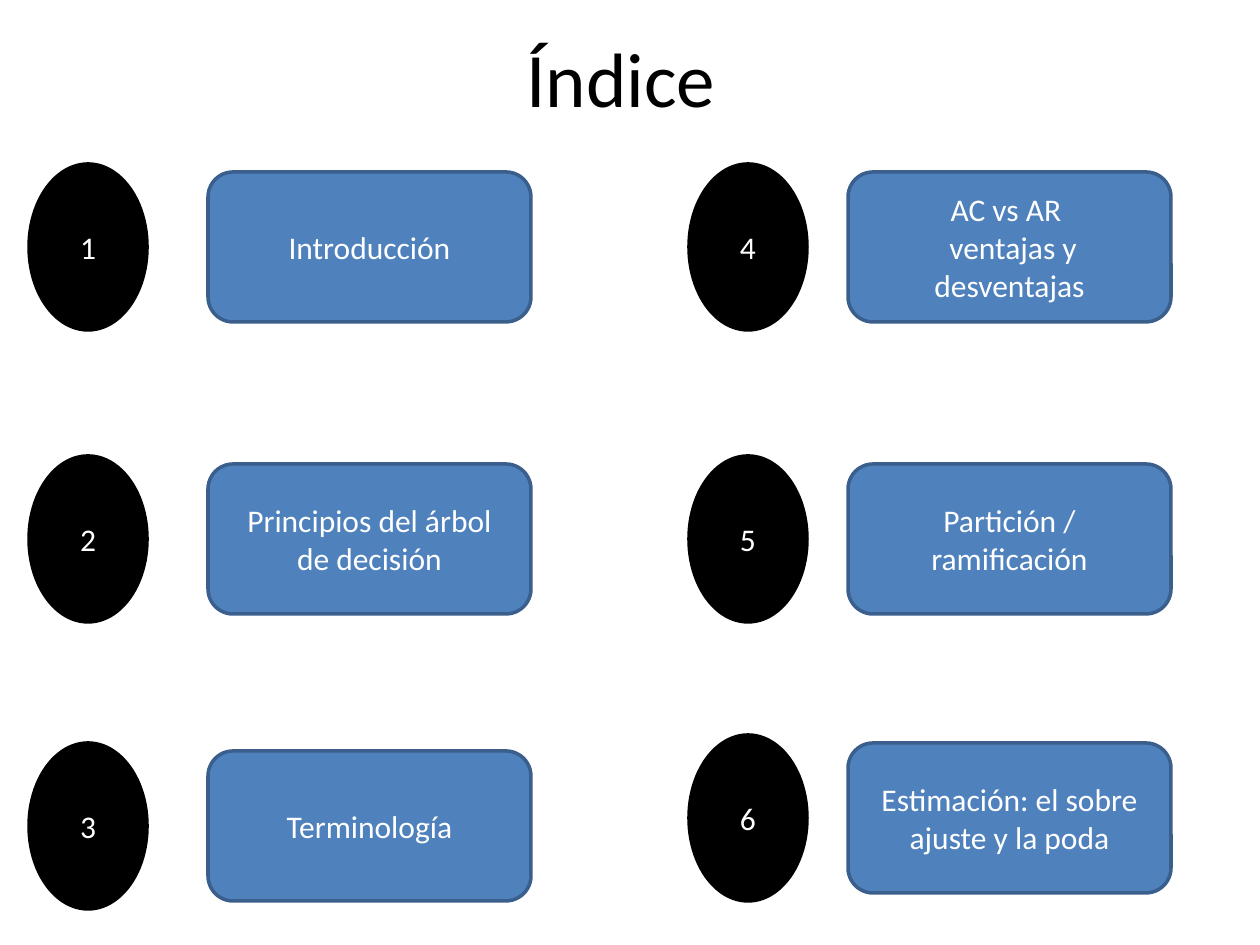
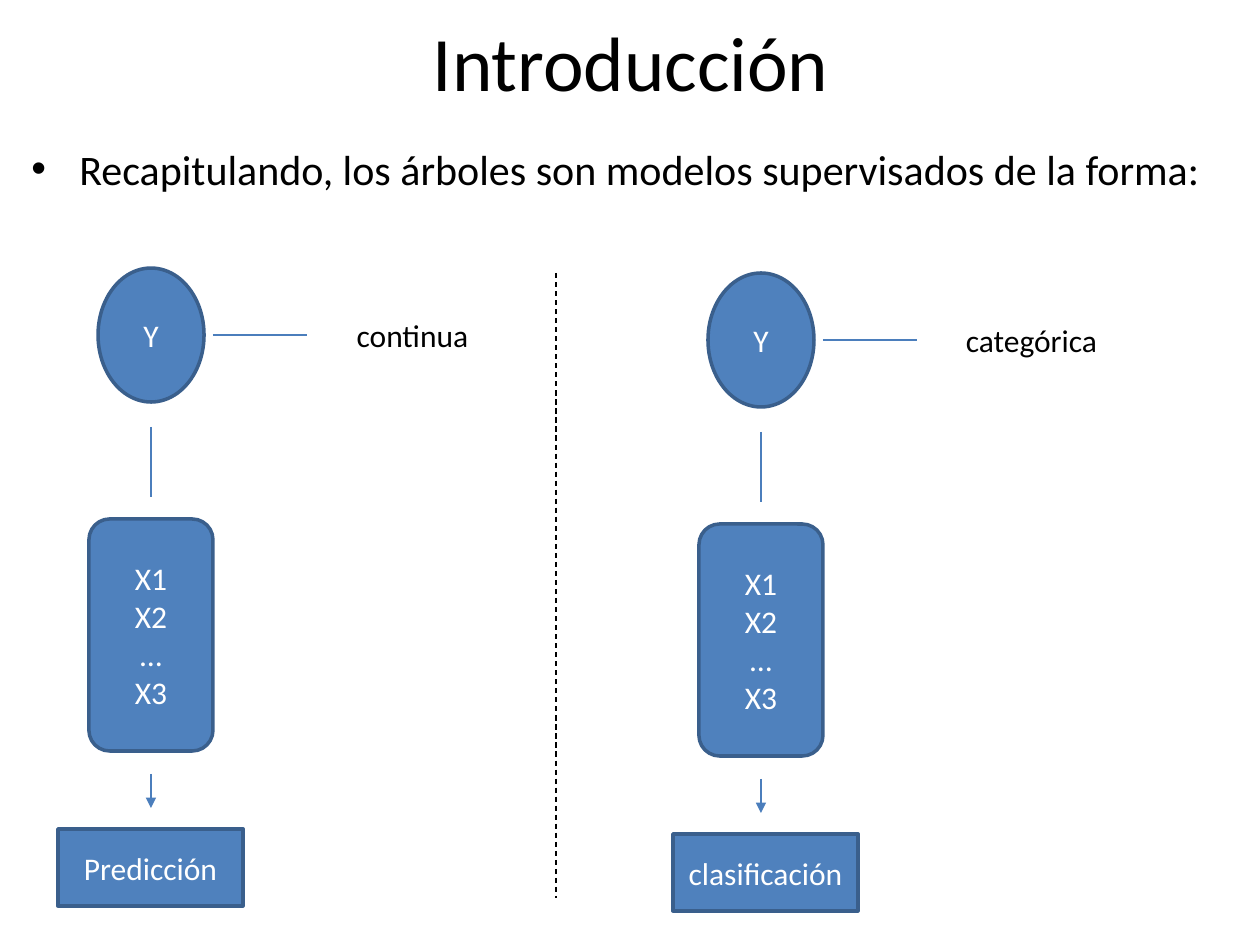
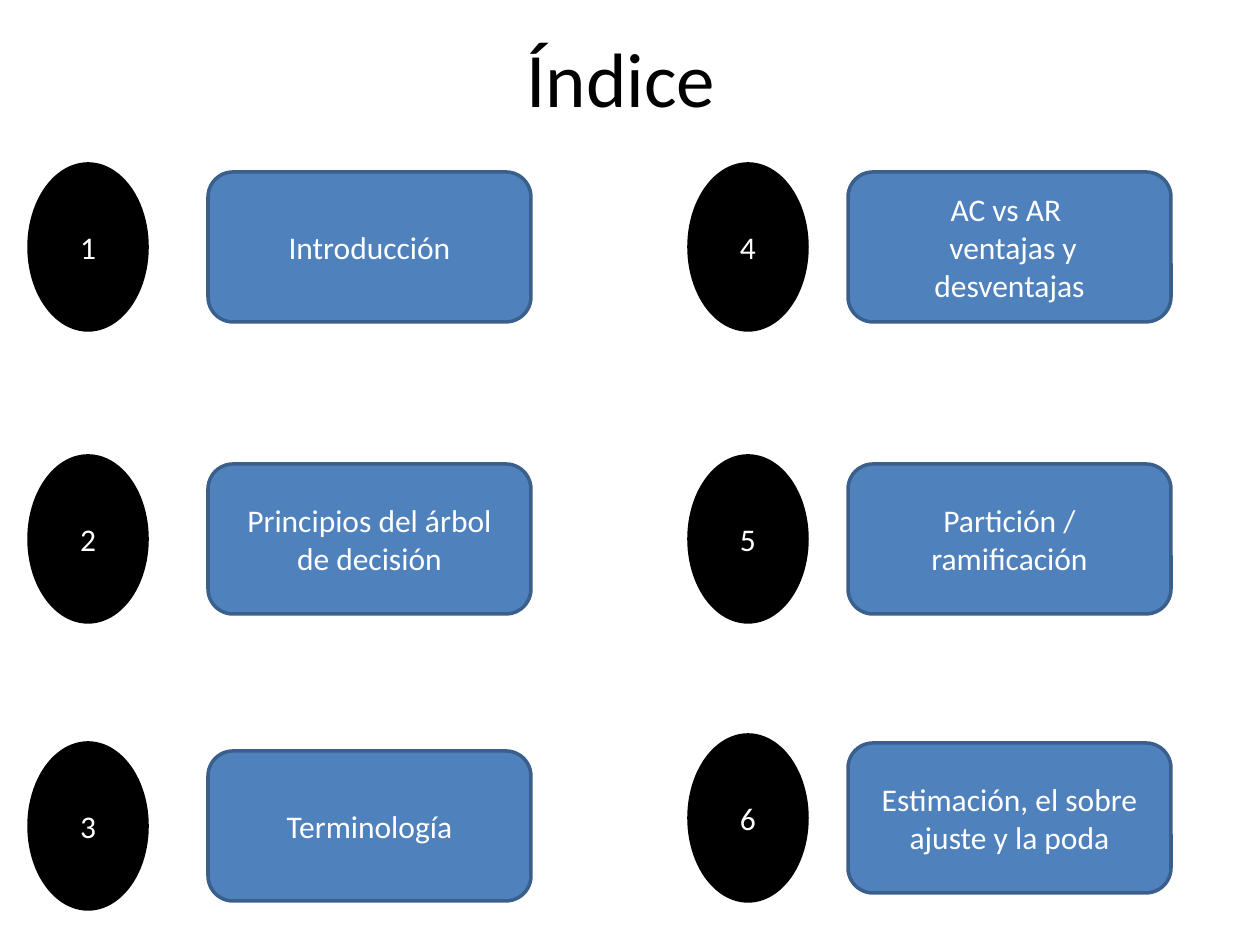
from dataclasses import dataclass
from lxml.etree import SubElement
from pptx import Presentation
from pptx.dml.color import RGBColor
from pptx.enum.dml import MSO_LINE
from pptx.enum.shapes import MSO_CONNECTOR, MSO_SHAPE
from pptx.enum.text import MSO_ANCHOR, PP_ALIGN
from pptx.oxml.ns import qn
from pptx.util import Emu, Pt


@dataclass(frozen=True)
class Theme:
    """Colours, font and type sizes of the deck."""
    black: RGBColor = RGBColor.from_string("000000")
    white: RGBColor = RGBColor.from_string("FFFFFF")
    blue: RGBColor = RGBColor.from_string("4F81BD")
    edge: RGBColor = RGBColor.from_string("3A5F8C")
    link: RGBColor = RGBColor.from_string("4B7EBC")
    face: str = "Calibri"
    title: int = 44
    lead: int = 24
    body: int = 18
    rim: int = 2
    thin: float = 0.75


THEME = Theme()
CENTRE = PP_ALIGN.CENTER
MIDDLE = MSO_ANCHOR.MIDDLE


def px(*sizes):
    """Turn pixel lengths into EMU."""
    return [Emu(round(size * 914400 / 126)) for size in sizes]


def put(target, **values):
    """Set each format value on the target."""
    for name, value in values.items():
        setattr(target, name, value)


def write(shape, lines, size, colour, align=CENTRE, anchor=MIDDLE, wrap=True):
    """Fill a shape with one paragraph for each line."""
    frame = shape.text_frame
    put(frame, word_wrap=wrap, vertical_anchor=anchor)
    for i, line in enumerate(lines):
        para = frame.add_paragraph() if i else frame.paragraphs[0]
        put(para, text=line, alignment=align)
        for run in para.runs:
            put(run.font, name=THEME.face, size=Pt(size))
            run.font.color.rgb = colour


def node(slide, kind, box, *lines, fill=THEME.blue, edge=THEME.edge):
    """Draw a filled shape with white centred text."""
    shape = slide.shapes.add_shape(kind, *px(*box))
    shape.shadow.inherit = False
    shape.fill.solid()
    shape.fill.fore_color.rgb = fill
    shape.line.color.rgb = edge
    shape.line.width = Pt(THEME.rim)
    write(shape, lines, THEME.body, THEME.white)


def label(slide, box, text, size, **style):
    """Place black text in a box."""
    shape = slide.shapes.add_textbox(*px(*box))
    write(shape, [text], size, THEME.black, **style)
    return shape


def rule(slide, ends, colour=THEME.link, dash=None, arrow=False):
    """Draw a thin straight line, dashed or with an arrowhead."""
    line = slide.shapes.add_connector(MSO_CONNECTOR.STRAIGHT, *px(*ends))
    line.line.color.rgb = colour
    put(line.line, width=Pt(THEME.thin), dash_style=dash)
    if arrow:
        SubElement(line.line._get_or_add_ln(), qn("a:tailEnd"), type="triangle")
    SubElement(line._element.spPr, qn("a:effectLst"))


def item(slide, x, y, gap, number, text):
    """Draw one numbered entry of the index."""
    node(slide, MSO_SHAPE.OVAL, (x, y, 118, 166), str(number),
         fill=THEME.black, edge=THEME.black)
    node(slide, MSO_SHAPE.ROUNDED_RECTANGLE, (x + gap, y + 8, 323, 150), text)


def index(slide, last):
    """Build the index slide, whose last entry varies."""
    label(slide, (88, 16, 1066, 122), "Índice", THEME.title)
    columns = [
        (29, 179, (164, 456, 743),
         ("Introducción", "Principios del árbol de decisión", "Terminología")),
        (689, 159, (164, 456, 735),
         ("AC vs AR \n ventajas y desventajas", "Partición / ramificación", last)),
    ]
    for col, (x, gap, tops, texts) in enumerate(columns):
        for row, (y, text) in enumerate(zip(tops, texts)):
            item(slide, x, y, gap, 3 * col + row + 1, text)


def branch(slide, x, y, kind, width, goal, shift=0):
    """Draw one model from its target variable down to its goal."""
    node(slide, MSO_SHAPE.OVAL, (x + 40, y, 106, 134), "Y")
    node(slide, MSO_SHAPE.ROUNDED_RECTANGLE, (x + 31, y + 251, 124, 232),
         "X1", "X2", "…", "X3")
    node(slide, MSO_SHAPE.RECTANGLE, (x + shift, y + 561, 185, 77), goal)
    mid = x + 93
    rule(slide, (mid, y + 159, mid, y + 229))
    rule(slide, (mid, y + 506, mid, y + 540), arrow=True)
    rule(slide, (x + 155, y + 67, x + 249, y + 67))
    label(slide, (x + 285, y + 42, width, 50), kind, THEME.body,
          anchor=MSO_ANCHOR.TOP, wrap=False)


def intro(slide):
    """Build the introduction slide with its two models."""
    label(slide, (64, 6, 1134, 110), "Introducción", THEME.title)
    lead = label(slide, (19, 137, 1221, 70),
                 "Recapitulando, los árboles son modelos supervisados de la forma:",
                 THEME.lead, align=PP_ALIGN.LEFT, anchor=MSO_ANCHOR.TOP)
    props = lead.text_frame.paragraphs[0]._p.get_or_add_pPr()
    indent, = px(48)
    props.set("marL", str(indent))
    props.set("indent", str(-indent))
    SubElement(props, qn("a:buFont"), typeface="Arial")
    SubElement(props, qn("a:buChar"), char="•")
    rule(slide, (556, 273, 556, 898), THEME.black, MSO_LINE.DASH)
    branch(slide, 58, 268, "continua", 139, "Predicción")
    branch(slide, 668, 273, "categórica", 157, "clasificación", 5)


def main():
    """Build and save the deck."""
    deck = Presentation()
    deck.slide_width, deck.slide_height = px(1260, 945)
    pages = [deck.slides.add_slide(deck.slide_layouts[6]) for _ in range(3)]
    index(pages[0], "Estimación: el sobre ajuste y la poda")
    intro(pages[1])
    index(pages[2], "Estimación, el sobre ajuste y la poda")
    deck.save("out.pptx")


if __name__ == "__main__":
    main()
